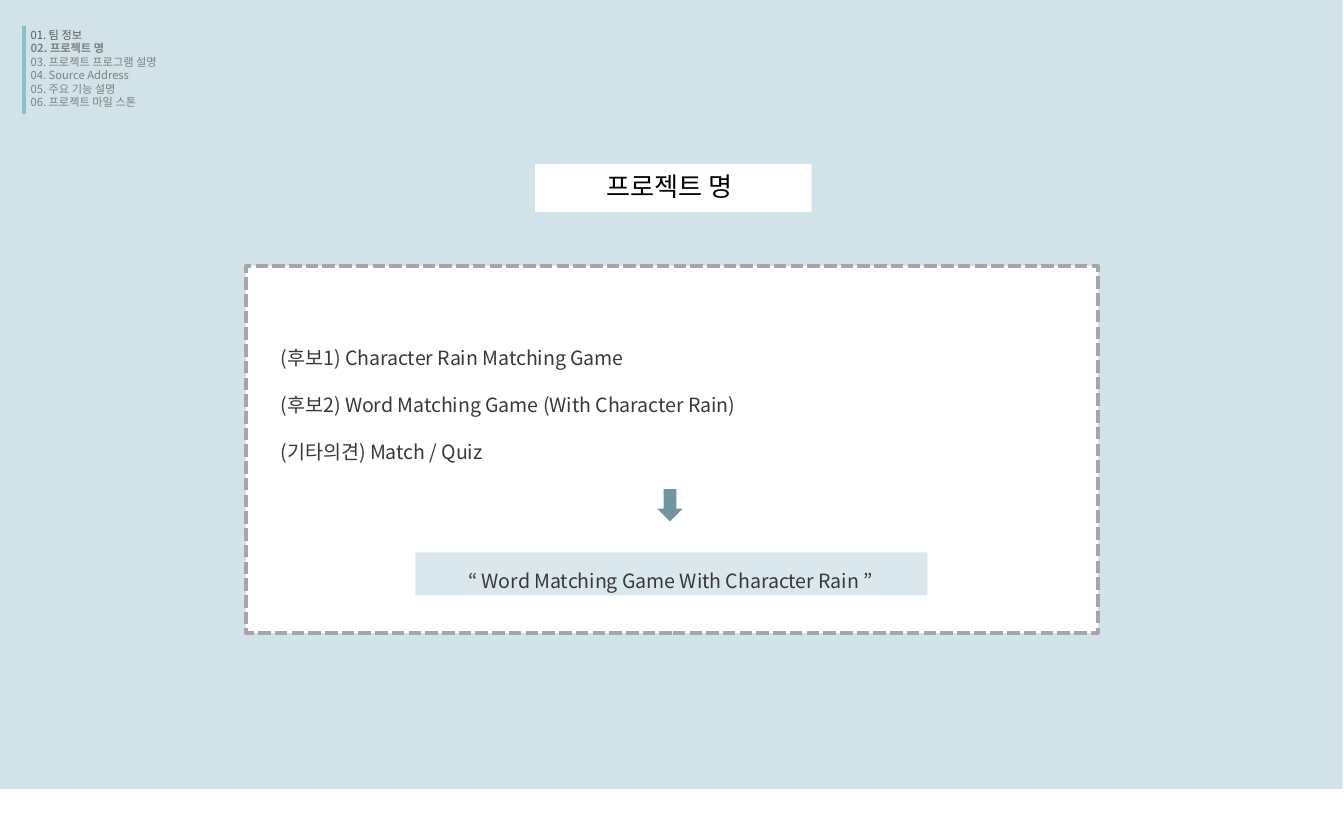
import pptx
import pptx.util
import pptx.dml.color
import pptx.enum.dml
import pptx.enum.shapes
import pptx.enum.text
import pptx.oxml
import pptx.oxml.ns

Inches = pptx.util.Inches
Shape = pptx.enum.shapes.MSO_SHAPE
Align = pptx.enum.text.PP_ALIGN
FONT = "Noto Sans CJK KR"
PALE, WHITE, TEAL, AQUA = "D1E2E9", "FFFFFF", "7097A1", "8DBFCA"
BLACK, INK, DARK, GRAY, BORDER = "000000", "3B3838", "595959", "808080", "A6A6A6"


def color(value):
    return pptx.dml.color.RGBColor.from_string(value)


def add_xml(parent, tag, **attributes):
    child = pptx.oxml.parse_xml(f"<a:{tag} {pptx.oxml.ns.nsdecls('a')}/>")
    for name, value in attributes.items():
        child.set(name, value)
    parent.append(child)
    return child


class Page:
    """Holds the text style and the current slide."""

    def __init__(self, deck):
        self.page = deck.slides.add_slide(deck.slide_layouts[1])
        self.shapes = self.page.shapes

    def block(self, area, fill, kind=Shape.RECTANGLE, border=None, alpha=None):
        shape = self.shapes.add_shape(kind, *map(Inches, area))
        shape.shadow.inherit = False
        shape.fill.solid()
        shape.fill.fore_color.rgb = color(fill)
        if alpha:
            tint = shape.element.spPr.find(".//" + pptx.oxml.ns.qn("a:srgbClr"))
            add_xml(tint, "alpha", val=str(alpha * 1000))
        if border:
            shape.line.color.rgb = color(border)
            shape.line.width = pptx.util.Pt(2.25)
            shape.line.dash_style = pptx.enum.dml.MSO_LINE.SQUARE_DOT
        else:
            shape.line.fill.background()

    def rule(self, start, end, stroke):
        line = self.shapes.add_connector(
            pptx.enum.shapes.MSO_CONNECTOR.STRAIGHT, *map(Inches, start + end))
        line.line.color.rgb = color(stroke)
        line.line.width = pptx.util.Pt(2.25)
        add_xml(line.element.spPr, "effectLst")

    def text(self, area, lines, size, ink, align=Align.LEFT, spacing=1.0, holder=None):
        """Each line is a string, or a (string, font values) pair."""
        if holder is None:
            box = self.shapes.add_textbox(*map(Inches, area))
        else:
            box = holder
            box.left, box.top, box.width, box.height = map(Inches, area)
            box.element.getparent().append(box.element)  # bring to front
        frame = box.text_frame
        frame.word_wrap = True
        frame.auto_size = pptx.enum.text.MSO_AUTO_SIZE.NONE
        frame.vertical_anchor = pptx.enum.text.MSO_ANCHOR.TOP
        for index, line in enumerate(lines):
            words, extra = (line, {}) if isinstance(line, str) else line
            para = frame.paragraphs[0] if index == 0 else frame.add_paragraph()
            layout = {"alignment": align, "line_spacing": spacing,
                      "space_before": pptx.util.Pt(0)}
            for name, value in layout.items():
                setattr(para, name, value)
            if holder is not None:
                properties = para._p.get_or_add_pPr()
                properties.set("marL", "0")
                properties.set("indent", "0")
                add_xml(properties, "buNone")
            span = para.add_run()
            span.text = words
            values = {"size": pptx.util.Pt(size), "name": FONT, "bold": False, **extra}
            tone = values.pop("color", ink)
            for name, value in values.items():
                setattr(span.font, name, value)
            span.font.color.rgb = color(tone)
            add_xml(span.font._element, "ea", typeface=FONT)


def main():
    deck = pptx.Presentation()
    deck.slide_width, deck.slide_height = Inches(10), Inches(6.25)
    page = Page(deck)
    title, body = page.page.placeholders

    # Background band
    page.block((-0.01, 0, 10, 5.87), PALE)

    # Contents menu with the current section in bold
    page.text((0.13, 0.16, 1.24, 0.71), [
        ("01. 팀 정보", {"color": DARK}),
        ("02. 프로젝트 명", {"bold": True}),
        "03. 프로젝트 프로그램 설명",
        "04. Source Address",
        "05. 주요 기능 설명",
        "06. 프로젝트 마일 스톤",
    ], 6, GRAY, Align.JUSTIFY)
    page.rule((0.18, 0.19), (0.18, 0.85), AQUA)

    # Title plate
    page.block((3.98, 1.22, 2.06, 0.36), WHITE)
    page.text((4.41, 1.22, 1.23, 0.34), ["프로젝트 명"], 14, BLACK, holder=title)

    # Candidate names in a dashed frame
    page.block((1.83, 1.98, 6.34, 2.73), WHITE, border=BORDER)
    page.text((1.99, 2.35, 6.08, 1.16), [
        "(후보1) Character Rain Matching Game",
        "(후보2) Word Matching Game (With Character Rain)",
        "(기타의견) Match / Quiz",
    ], 10.5, INK, spacing=2.0, holder=body)

    # Chosen name
    page.block((4.89, 3.64, 0.19, 0.24), TEAL, Shape.DOWN_ARROW)
    page.block((3.09, 4.11, 3.81, 0.32), PALE, alpha=80)
    page.text((1.95, 4.01, 6.08, 0.45), ["“ Word Matching Game With Character Rain ”"],
              10.5, INK, Align.CENTER, 2.0)

    deck.save("out.pptx")


if __name__ == "__main__":
    main()
